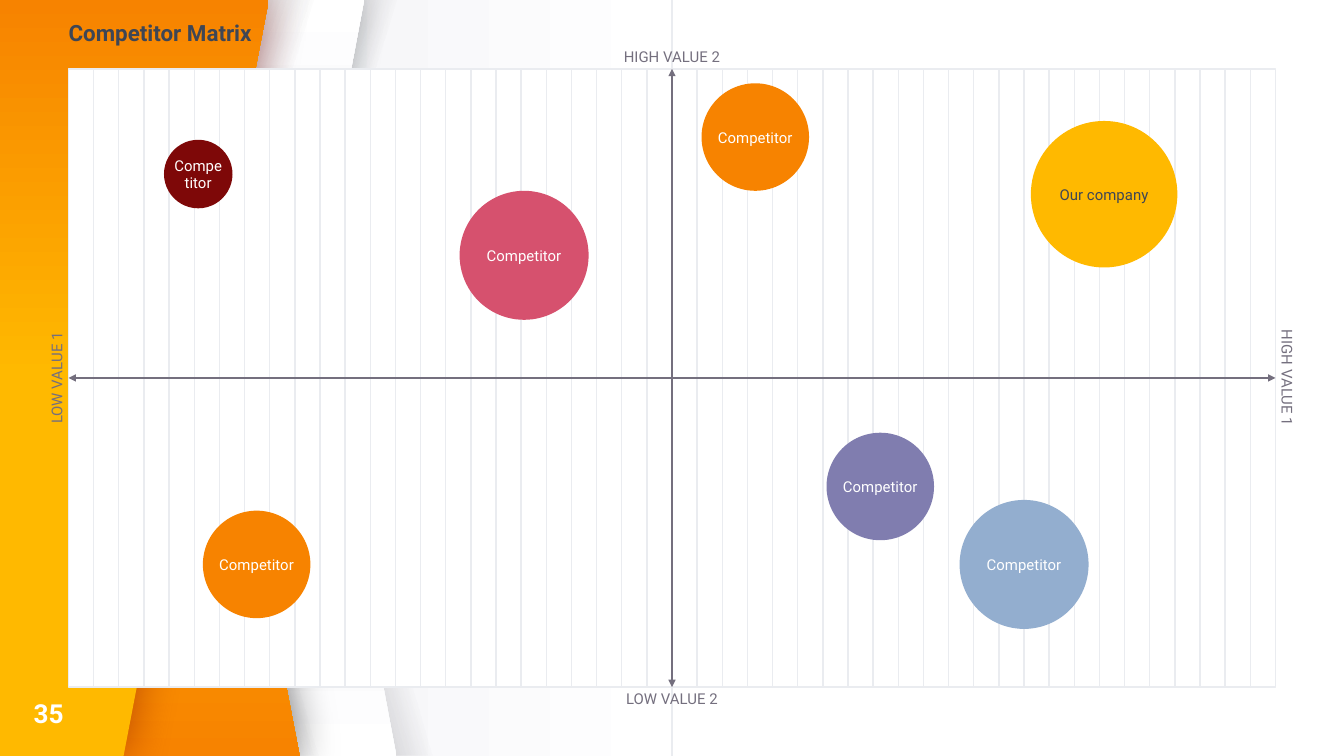
import pptx
import pptx.dml.color
import pptx.enum.shapes
import pptx.enum.text
import pptx.oxml.ns
import pptx.util
from lxml import etree

Inches = pptx.util.Inches
Pt = pptx.util.Pt
RGB = pptx.dml.color.RGBColor
qn = pptx.oxml.ns.qn
KIND = pptx.enum.shapes.MSO_SHAPE
ALIGN = pptx.enum.text.PP_ALIGN

WHITE = RGB(0xFF, 0xFF, 0xFF)
BLACK = RGB(0x00, 0x00, 0x00)
PALE = RGB(0xEA, 0xEC, 0xF0)
INK = RGB(0x27, 0x25, 0x2C)
SLATE = RGB(0x3E, 0x46, 0x55)
GREY = RGB(0x74, 0x6F, 0x7E)
GOLD = RGB(0xFF, 0xB9, 0x00)
AMBER = RGB(0xF7, 0x83, 0x00)
ROSE = RGB(0xD6, 0x51, 0x6E)
PLUM = RGB(0x80, 0x7D, 0xAF)
SKY = RGB(0x93, 0xAE, 0xCF)
WINE = RGB(0x7E, 0x08, 0x08)

WIDE = 10
HIGH = WIDE * 9 / 16
SPAN, RISE = 8.98, 4.6
MID_X, MID_Y = WIDE / 2, HIGH / 2
LEFT, TOP = MID_X - SPAN / 2, MID_Y - RISE / 2
STEPS = 48

# Back to front: left or outline, slant, flipped, (stops, angle), shadow
SHADE_A = ([(45, INK), (100, SLATE)], 16)
SHADE_B = ([(44, INK), (100, SLATE)], 198)
BANDS = [
    (1.07, 0.75, True, SHADE_A, None),
    (0.65, 0.46, True, ([(53, PALE), (100, WHITE)], 90), None),
    (0.65, 0.75, False, SHADE_B, None),
    (0.41, 0.46, False, ([(53, PALE), (100, WHITE)], 270), (BLACK, 20, 16.9)),
    (0.22, 0.75, True, SHADE_A, None),
    ([(0, 0), (0, HIGH), (2.23, HIGH), (1.15, 0)], None, False,
     ([(37, GOLD), (100, AMBER)], 90), (BLACK, 50, 24.7)),
    (0.03, 0.75, False, SHADE_B, None),
    ([(0, HIGH), (0, 0), (2, 0), (0.92, HIGH)], None, False,
     ([(50, GOLD), (100, AMBER)], 270), (WINE, 50, 24.7)),
]

HEAD = {"size": Pt(12), "bold": True}
PAGE = {"size": Pt(14), "bold": True}
SMALL = {"size": Pt(8)}

# Text, center x, center y, turn
LABELS = [
    ("LOW VALUE 1", 0.42, MID_Y, 270),
    ("HIGH VALUE 1", 9.58, MID_Y, 90),
    ("LOW VALUE 2", MID_X, 5.2, 0),
    ("HIGH VALUE 2", MID_X, 0.42, 0),
]

# Text, left, top, size, fill, ink
FIRMS = [
    ("Our company", 7.67, 0.9, 1.09, GOLD, SLATE),
    ("Competitor", 3.42, 1.42, 0.96, ROSE, WHITE),
    ("Competitor", 1.51, 3.8, 0.8, AMBER, WHITE),
    ("Competitor", 6.15, 3.22, 0.8, PLUM, WHITE),
    ("Competitor", 7.14, 3.72, 0.96, SKY, WHITE),
    ("Competitor", 5.22, 0.62, 0.8, AMBER, WHITE),
    ("Competitor", 1.22, 1.04, 0.51, WINE, WHITE),
]

deck = pptx.Presentation()
deck.slide_width, deck.slide_height = Inches(WIDE), Inches(HIGH)
slide = deck.slides.add_slide(deck.slide_layouts[6])
shapes = slide.shapes


def blend(fill, stops, angle):
    """Apply a gradient whose angle runs clockwise."""
    fill.gradient()
    fill.gradient_angle = 360 - angle
    for stop, (place, color) in zip(fill.gradient_stops, stops):
        stop.position = place / 100
        stop.color.rgb = color


def glow(shape, color, alpha, blur):
    """Add a centred soft shadow."""
    part = shape.element.spPr.find(qn("a:effectLst"))
    part = etree.SubElement(part, qn("a:outerShdw"), blurRad=str(Pt(blur)),
                            dist="0", dir="0", algn="ctr", rotWithShape="0")
    tint = etree.SubElement(part, qn("a:srgbClr"), val=str(color))
    etree.SubElement(tint, qn("a:alpha"), val=str(alpha * 1000))


def add_band(base, slant, flip, paint, shade):
    if slant is None:
        spots = [(Inches(x), Inches(y)) for x, y in base]
        pen = shapes.build_freeform(*spots[0])
        pen.add_line_segments(spots[1:], close=True)
        band = pen.convert_to_shape()
    else:
        band = shapes.add_shape(KIND.PARALLELOGRAM, Inches(base), 0,
                                Inches(2.3), Inches(HIGH))
        band.adjustments[0] = slant
    if flip:
        band.element.spPr.find(qn("a:xfrm")).set("flipH", "1")
    blend(band.fill, *paint)
    if paint[0][0][1] == INK:
        clear = band.element.spPr.find(".//" + qn("a:srgbClr"))
        etree.SubElement(clear, qn("a:alpha"), val="0")
    band.line.fill.background()
    band.shadow.inherit = False
    if shade:
        glow(band, *shade)


def add_line(x1, y1, x2, y2, color=PALE, width=0.75, heads=False):
    line = shapes.add_connector(pptx.enum.shapes.MSO_CONNECTOR.STRAIGHT,
                                *map(Inches, (x1, y1, x2, y2)))
    line.line.color.rgb = color
    line.line.width = Pt(width)
    props = line.element.spPr
    if heads:
        for end in ("a:headEnd", "a:tailEnd"):
            etree.SubElement(props.find(qn("a:ln")), qn(end),
                             type="triangle", w="sm", len="sm")
    etree.SubElement(props, qn("a:effectLst"))


def write(shape, text, color, style, align=ALIGN.CENTER):
    frame = shape.text_frame
    look = {"word_wrap": True,
            "vertical_anchor": pptx.enum.text.MSO_ANCHOR.MIDDLE,
            "margin_left": 0, "margin_right": 0,
            "margin_top": 0, "margin_bottom": 0}
    for key, value in look.items():
        setattr(frame, key, value)
    line = frame.paragraphs[0]
    line.alignment = align
    run = line.add_run()
    run.text = text
    for key, value in {"name": "Roboto", **style}.items():
        setattr(run.font, key, value)
    run.font.color.rgb = color
    return line


def add_text(box, *args):
    shape = shapes.add_textbox(*map(Inches, box))
    return shape, write(shape, *args)


def add_solid(kind, box, color):
    shape = shapes.add_shape(kind, *map(Inches, box))
    shape.fill.solid()
    shape.fill.fore_color.rgb = color
    shape.line.fill.background()
    shape.shadow.inherit = False
    return shape


blend(slide.background.fill, [(50, WHITE), (100, PALE)], 180)
for band in BANDS:
    add_band(*band)

title, line = add_text((LEFT, 0, SPAN, TOP), "Competitor Matrix", SLATE, HEAD,
                       ALIGN.LEFT)
line.line_spacing = 0.9

panel = add_solid(KIND.RECTANGLE, (LEFT, TOP, SPAN, RISE), WHITE)
panel.line.color.rgb = PALE
panel.line.width = Pt(0.75)
for step in range(1, STEPS):
    if step != STEPS // 2:
        x = LEFT + step * SPAN / STEPS
        add_line(x, TOP, x, TOP + RISE)

add_text((0.25, 5.17, 0.4, 0.27), "35", WHITE, PAGE, ALIGN.LEFT)

add_line(MID_X, 0, MID_X, HIGH)
add_line(MID_X, TOP, MID_X, TOP + RISE, GREY, 1.5, True)
add_line(LEFT, MID_Y, LEFT + SPAN, MID_Y, GREY, 1.5, True)

for text, x, y, turn in LABELS:
    label, line = add_text((x - 0.7, y - 0.09, 1.4, 0.18), text, GREY, SMALL)
    label.rotation = turn

for text, x, y, size, color, ink in FIRMS:
    write(add_solid(KIND.OVAL, (x, y, size, size), color), text, ink, SMALL)

deck.save("out.pptx")
